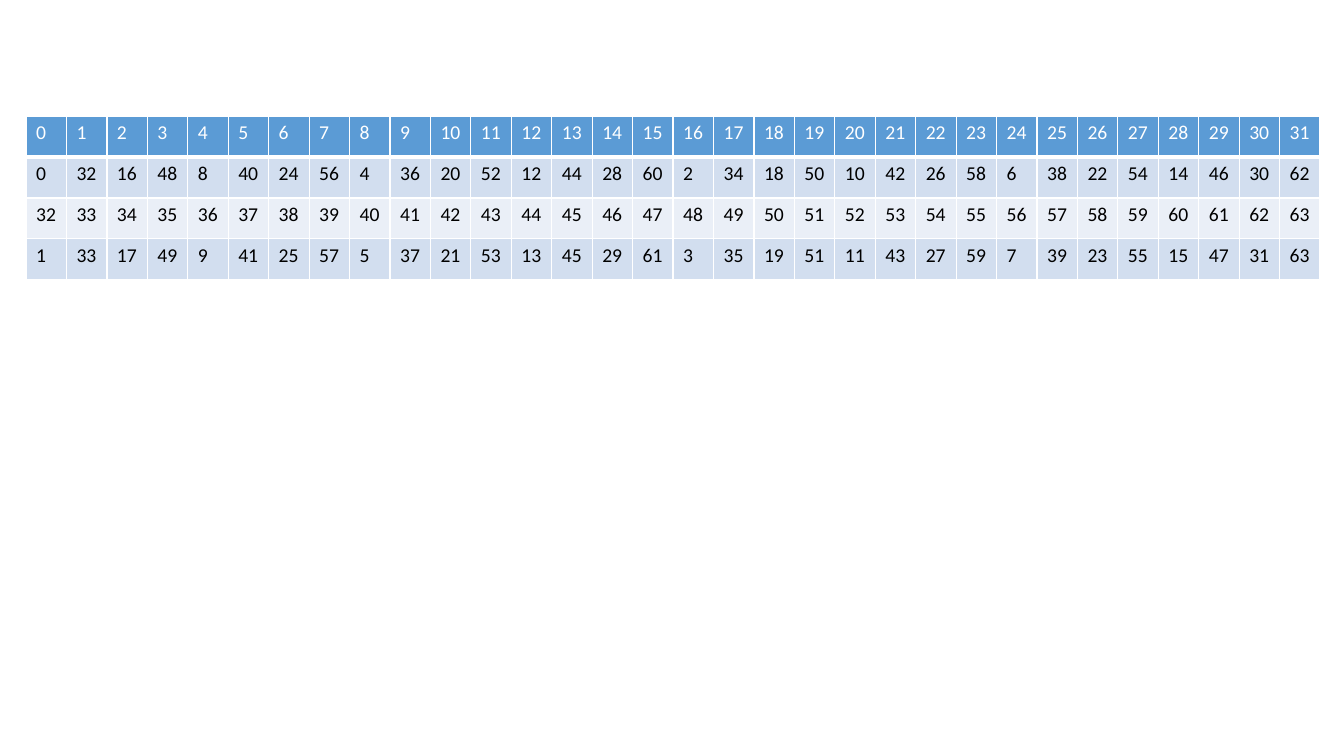
from lxml.etree import SubElement
from pptx import Presentation
from pptx.dml.color import RGBColor
from pptx.oxml.ns import qn
from pptx.util import Pt

BITS = 6
COLUMNS = 32


def bit_reversed(number):
    return int(f"{number:0{BITS}b}"[::-1], 2)


LOWER = range(COLUMNS)
UPPER = range(COLUMNS, 2 * COLUMNS)
ROWS = [
    (LOWER, "5B9BD5", "FFFFFF"),
    (map(bit_reversed, LOWER), "D2DEEF", "000000"),
    (UPPER, "EAEFF7", "000000"),
    (map(bit_reversed, UPPER), "D2DEEF", "000000"),
]
BORDER = "FFFFFF"
LEFT, TOP = 18.6, 83
COLUMN_WIDTH, ROW_HEIGHT = 28.91, 29.2


def color(value):
    return RGBColor.from_string(value)


def add_border(cell, side, width):
    line = SubElement(cell._tc.get_or_add_tcPr(), qn(f"a:ln{side}"), w=str(Pt(width)))
    fill = SubElement(line, qn("a:solidFill"))
    SubElement(fill, qn("a:srgbClr"), val=BORDER)


def fill_cell(cell, number, background, ink, widths):
    for side, width in widths.items():
        add_border(cell, side, width)
    cell.fill.solid()
    cell.fill.fore_color.rgb = color(background)
    para = cell.text_frame.paragraphs[0]
    para.text = str(number)
    para.font.name = "Calibri"
    para.font.size = Pt(14)
    para.font.bold = False
    para.font.color.rgb = color(ink)


def main():
    deck = Presentation()
    deck.slide_width, deck.slide_height = Pt(960), Pt(540)
    page = deck.slides.add_slide(deck.slide_layouts[6])
    table = page.shapes.add_table(
        len(ROWS), COLUMNS, Pt(LEFT), Pt(TOP),
        Pt(COLUMN_WIDTH * COLUMNS), Pt(ROW_HEIGHT * len(ROWS)),
    ).table
    for column in table.columns:
        column.width = Pt(COLUMN_WIDTH)
    for index, (numbers, background, ink) in enumerate(ROWS):
        table.rows[index].height = Pt(ROW_HEIGHT)
        widths = {"L": 1, "R": 1, "T": 3 if index == 1 else 1, "B": 3 if index == 0 else 1}
        for position, number in enumerate(numbers):
            fill_cell(table.cell(index, position), number, background, ink, widths)
    deck.save("out.pptx")


if __name__ == "__main__":
    main()
